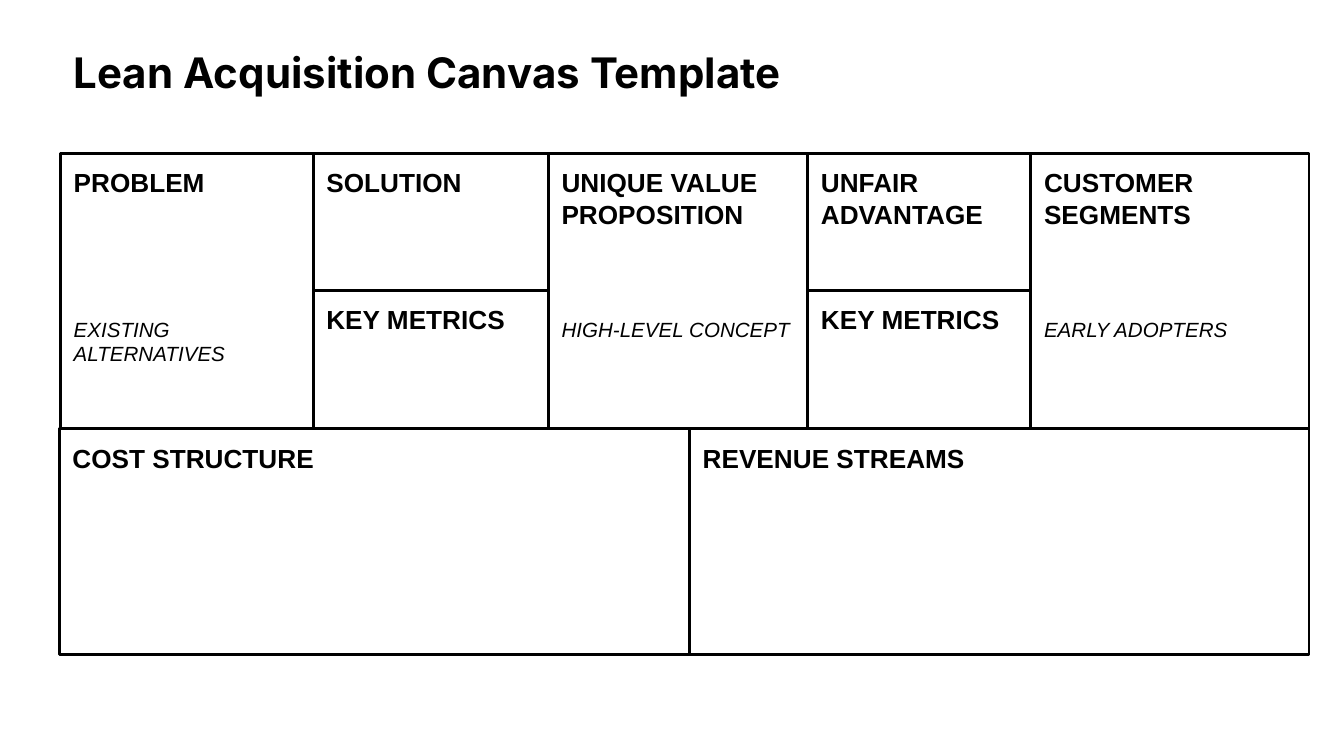
"""Build a one-slide lean acquisition canvas."""
from dataclasses import dataclass

import pptx
import pptx.dml.color
import pptx.enum.shapes
import pptx.enum.text
import pptx.util

BLACK = pptx.dml.color.RGBColor(0x00, 0x00, 0x00)
WHITE = pptx.dml.color.RGBColor(0xFF, 0xFF, 0xFF)

SLIDE_WIDTH = 10
SLIDE_HEIGHT = SLIDE_WIDTH * 9 / 16
INSET = 0.1
UPPER_COLUMNS = (0.45, 2.33, 4.08, 6.01, 7.67, 9.74)
LOWER_COLUMNS = (0.44, 5.13, 9.74)
ROWS = (1.14, 2.16, 3.19, 4.87)


@dataclass(frozen=True)
class Block:
    """A canvas cell placed by column and row, with an optional note."""

    heading: str
    column: int
    row: int
    row_span: int = 1
    note: str = ""
    note_gap: float = 0
    columns: tuple[float, ...] = UPPER_COLUMNS


BLOCKS = (
    Block("PROBLEM", 0, 0, 2, "EXISTING ALTERNATIVES", 63.5),
    Block("SOLUTION", 1, 0),
    Block("KEY METRICS", 1, 1),
    Block("UNIQUE VALUE PROPOSITION", 2, 0, 2, "HIGH-LEVEL CONCEPT", 47),
    Block("UNFAIR ADVANTAGE", 3, 0),
    Block("KEY METRICS", 3, 1),
    Block("CUSTOMER SEGMENTS", 4, 0, 2, "EARLY ADOPTERS", 47),
    Block("COST STRUCTURE", 0, 2, columns=LOWER_COLUMNS),
    Block("REVENUE STREAMS", 1, 2, columns=LOWER_COLUMNS),
)


def prepare_frame(frame) -> None:
    """Wrap the text from the top with equal insets."""
    frame.word_wrap = True
    frame.vertical_anchor = pptx.enum.text.MSO_ANCHOR.TOP
    frame.margin_left = frame.margin_right = pptx.util.Inches(INSET)
    frame.margin_top = frame.margin_bottom = pptx.util.Inches(INSET)


def write_run(paragraph, text: str, size: float, font: str = "Arial",
              bold: bool = False, italic: bool = False) -> None:
    """Add one black, left-aligned run to a paragraph."""
    paragraph.alignment = pptx.enum.text.PP_ALIGN.LEFT
    run = paragraph.add_run()
    run.text = text
    run.font.name = font
    run.font.size = pptx.util.Pt(size)
    run.font.bold = bold
    run.font.italic = italic
    run.font.color.rgb = BLACK


def draw_title(slide, text: str) -> None:
    """Draw the slide heading."""
    title = slide.shapes.add_textbox(
        *(pptx.util.Inches(length) for length in (UPPER_COLUMNS[0], 0.25, 8.36, 0.54)))
    prepare_frame(title.text_frame)
    write_run(title.text_frame.paragraphs[0], text, 22.5, "Inter", bold=True)


def draw_block(slide, block: Block) -> None:
    """Draw one outlined canvas cell with its heading and note."""
    left, right = block.columns[block.column:block.column + 2]
    top, bottom = ROWS[block.row], ROWS[block.row + block.row_span]
    cell = slide.shapes.add_shape(
        pptx.enum.shapes.MSO_SHAPE.RECTANGLE,
        *(pptx.util.Inches(length) for length in (left, top, right - left, bottom - top)))
    cell.shadow.inherit = False
    cell.fill.solid()
    cell.fill.fore_color.rgb = WHITE
    cell.line.color.rgb = BLACK
    cell.line.width = pptx.util.Pt(1.5)
    prepare_frame(cell.text_frame)
    write_run(cell.text_frame.paragraphs[0], block.heading, 14, bold=True)
    if block.note:
        note = cell.text_frame.add_paragraph()
        note.space_before = pptx.util.Pt(block.note_gap)
        write_run(note, block.note, 11, italic=True)


def main() -> None:
    """Create and save the presentation."""
    deck = pptx.Presentation()
    deck.slide_width = pptx.util.Inches(SLIDE_WIDTH)
    deck.slide_height = pptx.util.Inches(SLIDE_HEIGHT)
    slide = deck.slides.add_slide(deck.slide_layouts[6])
    draw_title(slide, "Lean Acquisition Canvas Template")
    for block in BLOCKS:
        draw_block(slide, block)
    deck.save("out.pptx")


if __name__ == "__main__":
    main()
